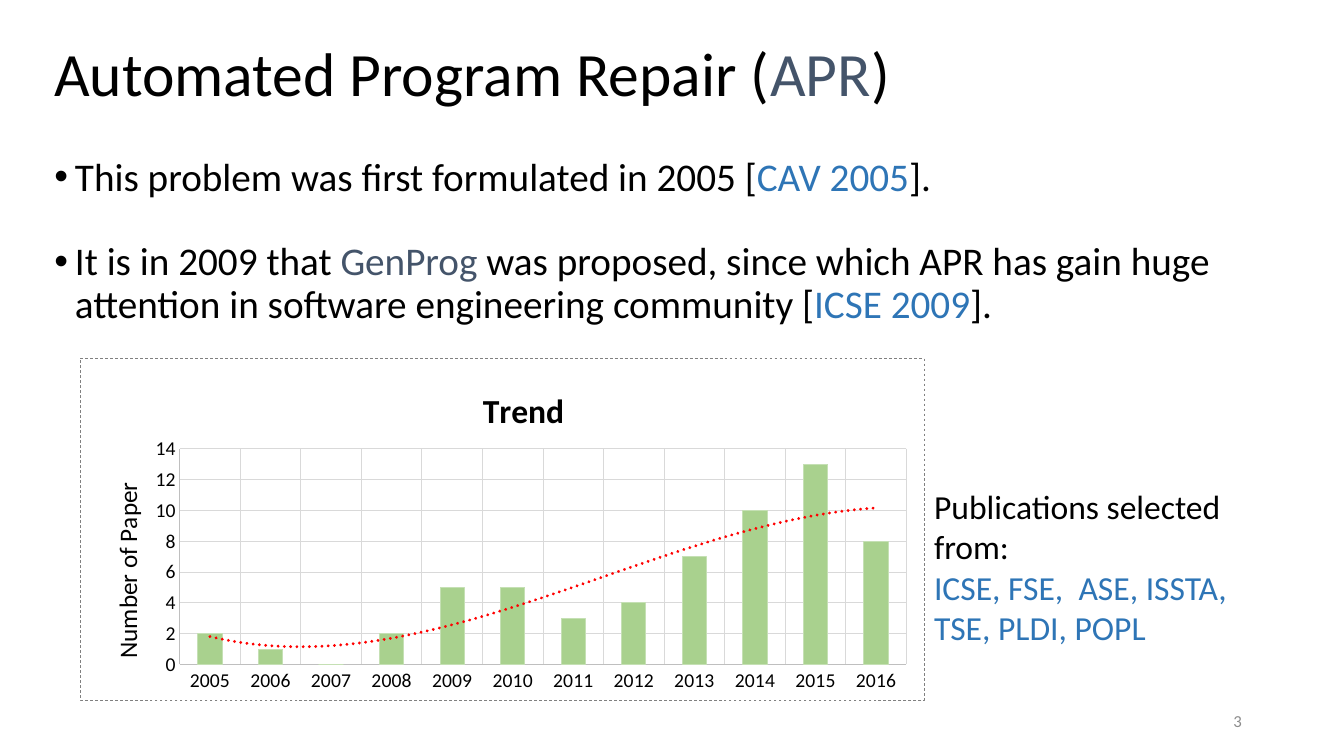
"""Builds the slide on the yearly trend of automated program repair papers."""
from lxml import etree
from pptx import Presentation
from pptx.chart.data import CategoryChartData
from pptx.dml.color import RGBColor
from pptx.enum.chart import XL_CHART_TYPE, XL_TICK_MARK
from pptx.enum.text import MSO_ANCHOR, MSO_AUTO_SIZE, PP_ALIGN
from pptx.oxml import parse_xml
from pptx.oxml.ns import qn
from pptx.util import Cm, Pt

COLUMN = XL_CHART_TYPE.COLUMN_CLUSTERED
NO_TICK = XL_TICK_MARK.NONE
TOP, MIDDLE = MSO_ANCHOR.TOP, MSO_ANCHOR.MIDDLE
LEFT, RIGHT = PP_ALIGN.LEFT, PP_ALIGN.RIGHT

FONT = "Calibri"
COLORS = {
    "text": "000000", "slate": "44546A", "blue": "2E75B6", "number": "8C8C8C",
    "bar": "A9D18E", "bar_line": "C5E0B4", "axis": "BFBFBF", "grid": "D9D9D9",
    "border": "808080", "trend": "FF0000",
}
NS = ('xmlns:c="http://schemas.openxmlformats.org/drawingml/2006/chart" '
      'xmlns:a="http://schemas.openxmlformats.org/drawingml/2006/main"')


def add_text(box, paragraphs, size, anchor=MIDDLE, align=LEFT, spacing=1.0):
    tb = s.shapes.add_textbox(*[Cm(v) for v in box])
    tf = tb.text_frame
    tf.word_wrap = True
    tf.vertical_anchor = anchor
    for i, runs in enumerate(paragraphs):
        p = tf.paragraphs[0] if i == 0 else tf.add_paragraph()
        p.alignment = align
        p.line_spacing = spacing
        for text, color in runs:
            r = p.add_run()
            r.text = text
            r.font.name = FONT
            r.font.size = Pt(size)
            r.font.color.rgb = RGBColor.from_string(COLORS[color])
    return tf


def set_layout(parent, values, inner=False):
    for old in parent.findall(qn("c:layout")):
        parent.remove(old)
    layout = etree.Element(qn("c:layout"))
    manual = etree.SubElement(layout, qn("c:manualLayout"))
    items = [("layoutTarget", "inner")] if inner else []
    items += [("xMode", "edge"), ("yMode", "edge"), *zip("xywh", values)]
    for tag, value in items:
        etree.SubElement(manual, qn("c:" + tag)).set("val", str(value))
    parent.insert(0 if inner else 1, layout)


prs = Presentation()
prs.slide_width, prs.slide_height = Cm(33.87), Cm(19.05)
s = prs.slides.add_slide(prs.slide_layouts[6])

add_text((1.12, 0.91, 31.14, 2.03),
         [[("Automated Program Repair (", "text"), ("APR", "slate"), (")", "text")]],
         44, spacing=0.9)

tf = add_text((1.12, 3.18, 32.56, 5.84), [
    [("This problem was first formulated in 2005 [", "text"),
     ("CAV 2005", "blue"), ("].", "text")],
    [("It is in 2009 that ", "text"), ("GenProg", "slate"),
     (" was proposed, since which APR has gain huge attention in software "
      "engineering community [", "text"),
     ("ICSE 2009", "blue"), ("].", "text")],
], 28, spacing=0.9)
for p in tf.paragraphs:
    pPr = p._p.get_or_add_pPr()
    pPr.set("marL", str(Cm(0.52)))
    pPr.set("indent", str(-Cm(0.52)))
    etree.SubElement(pPr, qn("a:buFont")).set("typeface", "Arial")
    etree.SubElement(pPr, qn("a:buChar")).set("char", "•")
tf.paragraphs[1].space_before = Pt(30)

data = CategoryChartData()
data.categories = [str(year) for year in range(2005, 2017)]
data.add_series("Series 1", (2, 1, 0, 2, 5, 5, 3, 4, 7, 10, 13, 8))
chart = s.shapes.add_chart(
    COLUMN, Cm(2.01), Cm(9.02), Cm(21.29), Cm(8.64), data).chart
chart.has_legend = False
chart.font.name = FONT
chart.font.size = Pt(10)
chart.font.color.rgb = RGBColor.from_string(COLORS["text"])

value_axis = chart.value_axis
value_axis.minimum_scale, value_axis.maximum_scale = 0, 14
value_axis.major_unit = 2
for axis in (chart.category_axis, value_axis):
    axis.major_tick_mark = axis.minor_tick_mark = NO_TICK
    axis.has_major_gridlines = True
    axis.tick_labels.font.name = FONT
    axis.tick_labels.font.size = Pt(14)
    axis.tick_labels.font.color.rgb = RGBColor.from_string(COLORS["text"])
    for line, color in ((axis.format.line, "axis"),
                        (axis.major_gridlines.format.line, "grid")):
        line.color.rgb = RGBColor.from_string(COLORS[color])
        line.width = Pt(0.75)

for owner, text, size, bold, place in (
        (chart, "Trend", 24, True, (0.47, 0.07)),
        (value_axis, "Number of Paper", 18, False, (0.03, 0.35))):
    owner.has_title = True
    title = owner.chart_title if owner is chart else owner.axis_title
    title.text_frame.text = text
    font = title.text_frame.paragraphs[0].runs[0].font
    font.name, font.size, font.bold = FONT, Pt(size), bold
    font.color.rgb = RGBColor.from_string(COLORS["text"])
    set_layout(title._element, place)
body = value_axis.axis_title.text_frame._txBody.find(qn("a:bodyPr"))
body.set("rot", "-5400000")
body.set("vert", "horz")

plot = chart.plots[0]
plot.gap_width = 150
plot.vary_by_categories = False
papers = plot.series[0]
papers.format.fill.solid()
papers.format.fill.fore_color.rgb = RGBColor.from_string(COLORS["bar"])
papers.format.line.color.rgb = RGBColor.from_string(COLORS["bar_line"])
papers.format.line.width = Pt(0.75)
papers._element.find(qn("c:cat")).addprevious(parse_xml(
    f'<c:trendline {NS}><c:spPr><a:ln w="{Pt(2.25)}" cap="rnd"><a:solidFill>'
    f'<a:srgbClr val="{COLORS["trend"]}"/></a:solidFill><a:prstDash val="sysDot"/>'
    '</a:ln></c:spPr><c:trendlineType val="poly"/><c:order val="3"/>'
    '<c:dispRSqr val="0"/><c:dispEq val="0"/></c:trendline>'))

chart_el = chart._chartSpace.find(qn("c:chart"))
set_layout(chart_el.find(qn("c:plotArea")), (0.118, 0.265, 0.861, 0.63), inner=True)
chart_el.addnext(parse_xml(
    f'<c:spPr {NS}><a:noFill/><a:ln w="{Pt(0.5)}"><a:solidFill>'
    f'<a:srgbClr val="{COLORS["border"]}"/></a:solidFill><a:prstDash val="dash"/>'
    '</a:ln></c:spPr>'))

add_text((23.93, 17.65, 7.62, 1.02), [[("3", "number")]], 12, align=RIGHT)
tf = add_text((23.29, 12.12, 9.5, 3.33), [
    [("Publications selected from:", "text")],
    [("ICSE, FSE,  ASE, ISSTA,", "blue")],
    [("TSE, PLDI, POPL", "blue")],
], 24, anchor=TOP)
tf.auto_size = MSO_AUTO_SIZE.SHAPE_TO_FIT_TEXT

prs.save("out.pptx")
